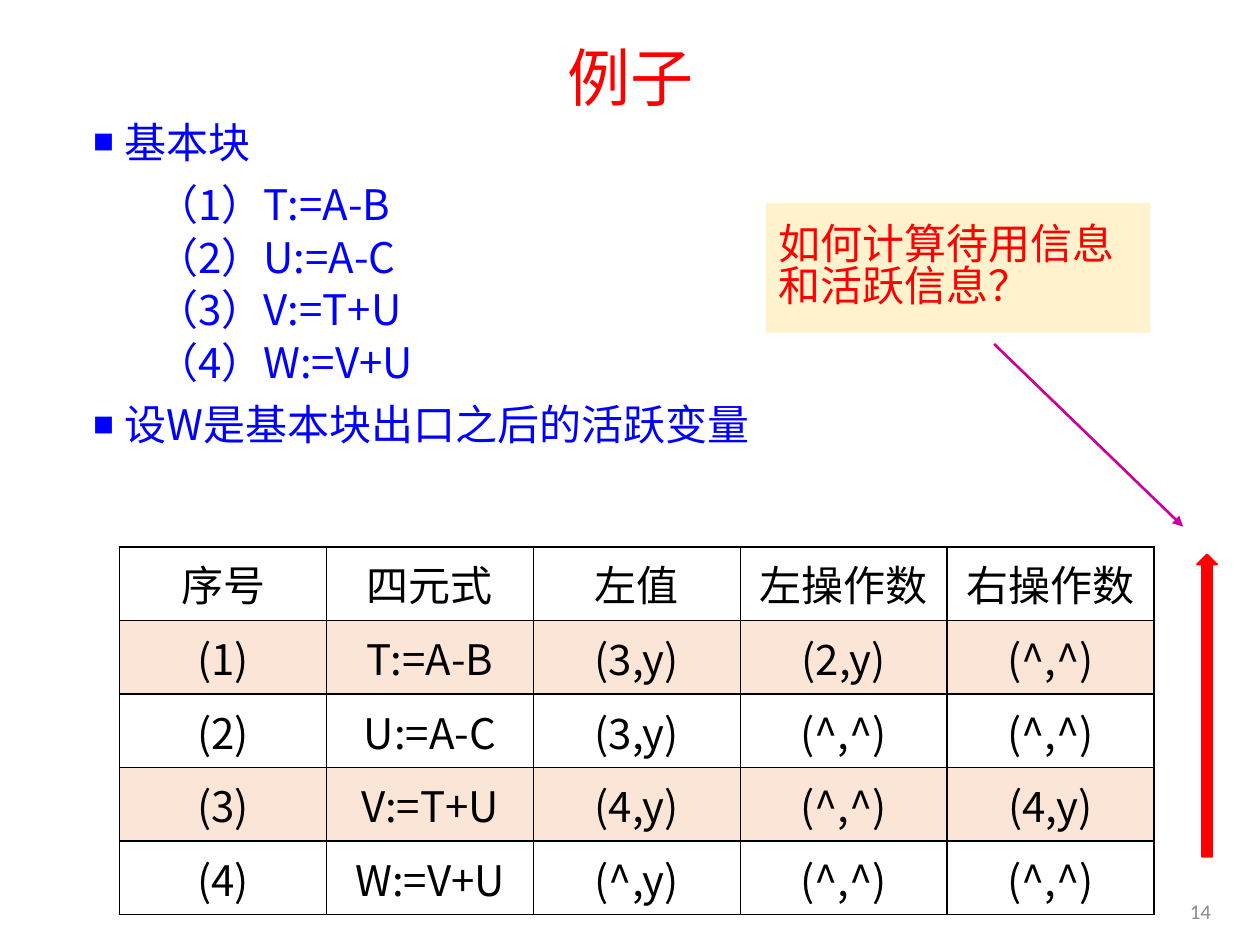
import pptx
import pptx.dml.color
import pptx.enum.shapes
import pptx.enum.text
import pptx.oxml
import pptx.oxml.ns
import pptx.util

ALIGN = pptx.enum.text.PP_ALIGN
MIDDLE = pptx.enum.text.MSO_ANCHOR.MIDDLE
SHAPE = pptx.enum.shapes.MSO_SHAPE
NAMESPACE = pptx.oxml.ns.nsdecls("a")
CJK = "Noto Sans CJK SC"


def color(code):
    return pptx.dml.color.RGBColor.from_string(code)


def write(frame, text, size=24, font=CJK, ink="000000", align=ALIGN.LEFT,
          spacing=None, before=0, after=0, indent=None, bullet=None):
    """Add one paragraph, using the frame's empty first paragraph if there is one."""
    first = frame.paragraphs[0]
    para = frame.add_paragraph() if first.runs else first
    para.alignment = align
    para.line_spacing = spacing
    para.space_before = pptx.util.Pt(before)
    para.space_after = pptx.util.Pt(after)
    properties = para._p.get_or_add_pPr()
    if indent:
        properties.set("marL", str(pptx.util.Inches(indent)))
        properties.set("indent", str(pptx.util.Inches(-0.25)))
    if bullet:
        for tag in ('buSzPct val="50000"', f'buFont typeface="{font}"', f'buChar char="{bullet}"'):
            properties.append(pptx.oxml.parse_xml(f"<a:{tag} {NAMESPACE}/>"))
    span = para.add_run()
    span.text = text
    span.font.size = pptx.util.Pt(size)
    span.font.name = font
    span.font.color.rgb = color(ink)
    span._r.get_or_add_rPr().append(
        pptx.oxml.parse_xml(f'<a:ea {NAMESPACE} typeface="{font}"/>'))


deck = pptx.Presentation()
deck.slide_width = pptx.util.Inches(10)
deck.slide_height = pptx.util.Inches(7.5)
page = deck.slides.add_slide(deck.slide_layouts[6])
column = deck.slide_width // 100
row = deck.slide_height // 75

# Text boxes: left, top, width, height in columns and rows
frames = []
for left, top, width, height in ((6.9, 2.5, 86.2, 7.9), (6.4, 9.4, 86.2, 31.8), (92, 70.3, 5.1, 4)):
    box = page.shapes.add_textbox(round(left * column), round(top * row),
                                  round(width * column), round(height * row))
    box.text_frame.word_wrap = True
    frames.append(box.text_frame)
title, body, number = frames

title.vertical_anchor = number.vertical_anchor = MIDDLE
write(title, "例子", size=36, font="Noto Sans CJK JP", ink="FF0000", align=ALIGN.CENTER, spacing=0.9)
write(number, "14", size=12, font="Calibri", ink="8C8C8C", align=ALIGN.RIGHT)

# Basic block and its statements
statements = ["T:=A-B", "U:=A-C", "V:=T+U", "W:=V+U"]
body_style = {"ink": "0000FF", "spacing": 0.83}
write(body, "基本块", after=6, indent=0.25, bullet="■", **body_style)
for index, statement in enumerate(statements, 1):
    write(body, f"（{index}）{statement}", before=6, indent=0.75,
          after=6 if index == len(statements) else 0, **body_style)
write(body, "设W是基本块出口之后的活跃变量", before=6, after=6, indent=0.25, bullet="■", **body_style)

# Table of next-use and liveness information
headings = ["序号", "四元式", "左值", "左操作数", "右操作数"]
values = [["(3,y)", "(2,y)", "(^,^)"], ["(3,y)", "(^,^)", "(^,^)"],
          ["(4,y)", "(^,^)", "(4,y)"], ["(^,y)", "(^,^)", "(^,^)"]]
lines = [headings] + [[f"({index})", statement, *marks]
                      for index, (statement, marks) in enumerate(zip(statements, values), 1)]
table = page.shapes.add_table(len(lines), len(headings), round(9.5 * column), round(43.4 * row),
                              round(82.1 * column), round(29.2 * row)).table
for line_index, line in enumerate(lines):
    for cell_index, text in enumerate(line):
        cell = table.cell(line_index, cell_index)
        write(cell.text_frame, text, align=ALIGN.CENTER)
        for position, side in enumerate(("lnL", "lnR", "lnT", "lnB")):
            cell._tc.get_or_add_tcPr().insert(position, pptx.oxml.parse_xml(
                f'<a:{side} {NAMESPACE} w="12700"><a:solidFill><a:srgbClr val="000000"/>'
                f'</a:solidFill></a:{side}>'))
        cell.fill.solid()
        cell.fill.fore_color.rgb = color("FBE5D6" if line_index % 2 else "FFFFFF")

# Question with its pointer to the upward scan direction
question = page.shapes.add_shape(SHAPE.RECTANGLE, round(60.8 * column), round(16.1 * row),
                                 round(30.5 * column), round(10.3 * row))
question.shadow.inherit = False
question.fill.solid()
question.fill.fore_color.rgb = color("FFF2CC")
question.line.fill.background()
question.text_frame.word_wrap = True
question.text_frame.vertical_anchor = MIDDLE
write(question.text_frame, "如何计算待用信息和活跃信息？", ink="FF0000", spacing=0.85)

pointer = page.shapes.add_connector(pptx.enum.shapes.MSO_CONNECTOR.STRAIGHT,
                                    round(78.9 * column), round(27.3 * row),
                                    round(93.9 * column), round(41.8 * row))
pointer.line.color.rgb = color("CC0099")
pointer.line.width = pptx.util.Pt(1.5)
pointer.line._get_or_add_ln().append(pptx.oxml.parse_xml(f'<a:tailEnd {NAMESPACE} type="triangle"/>'))
pointer._element.spPr.append(pptx.oxml.parse_xml(f"<a:effectLst {NAMESPACE}/>"))

scan = page.shapes.add_shape(SHAPE.DOWN_ARROW, 95 * column, 44 * row, round(1.6 * column), 24 * row)
scan.rotation = 180
scan.shadow.inherit = False
scan.fill.solid()
scan.fill.fore_color.rgb = color("FF0000")
scan.line.color.rgb = color("FF0000")
scan.line.width = pptx.util.Pt(1)

deck.save("out.pptx")
